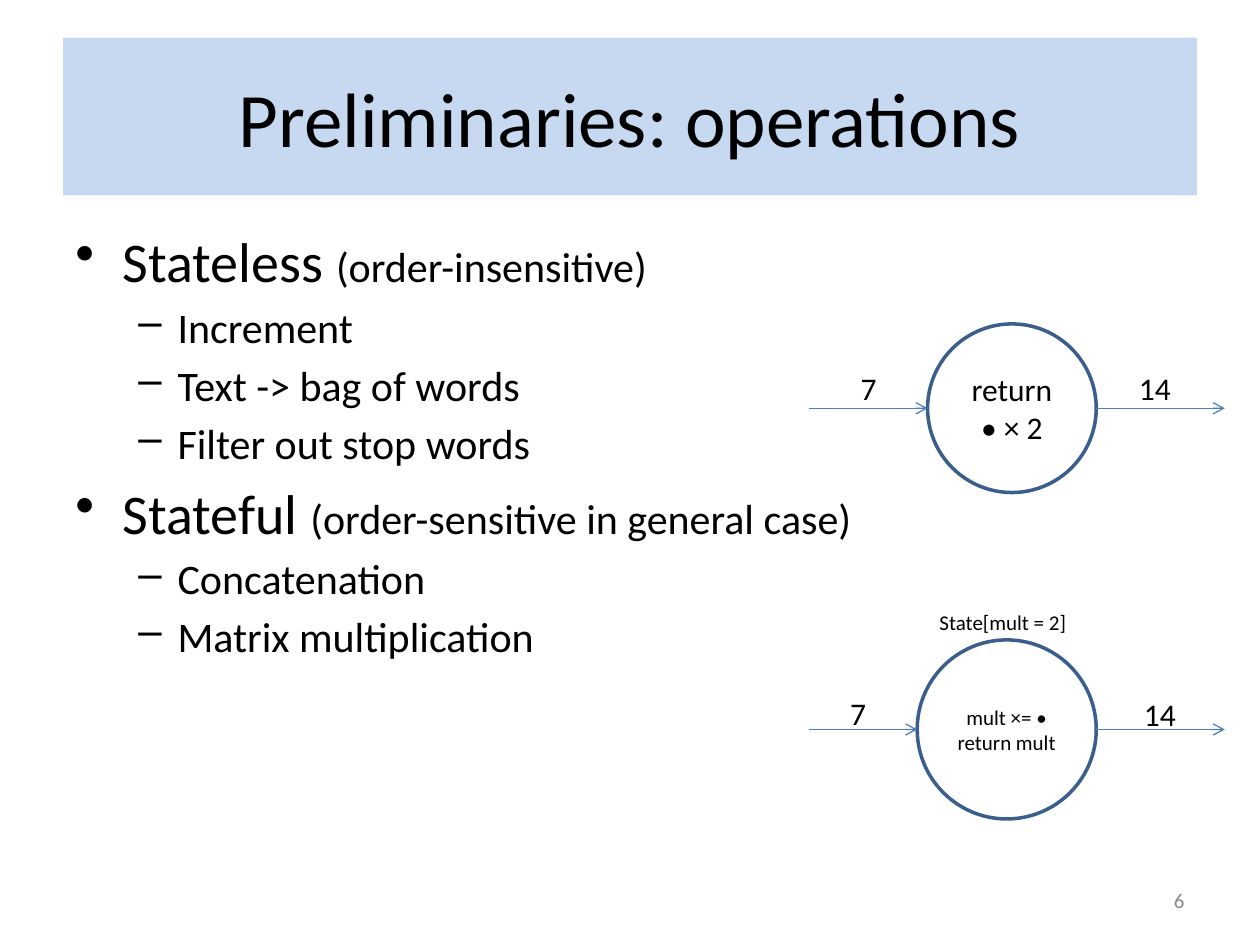
from lxml import etree
from pptx import Presentation
from pptx.dml.color import RGBColor
from pptx.enum.shapes import MSO_CONNECTOR, MSO_SHAPE
from pptx.enum.text import MSO_ANCHOR, PP_ALIGN
from pptx.oxml import parse_xml
from pptx.oxml.ns import nsdecls, qn
from pptx.util import Cm, Pt

OUTLINE = [
    ("Stateless ", "(order-insensitive)",
     ["Increment", "Text -> bag of words", "Filter out stop words"]),
    ("Stateful ", "(order-sensitive in general case)",
     ["Concatenation", "Matrix multiplication"]),
]


def color(hex_code):
    return RGBColor.from_string(hex_code)


def style(paragraph, size, hex_code="000000", align=PP_ALIGN.LEFT):
    paragraph.alignment = align
    font = paragraph.font
    font.name, font.size = "Calibri", Pt(size)
    font.color.rgb = color(hex_code)


def add_text_frame(slide, left, top, width, height):
    frame = slide.shapes.add_textbox(Cm(left), Cm(top), Cm(width), Cm(height)).text_frame
    frame.word_wrap = True
    return frame


def add_label(slide, left, top, width, height, text, size):
    paragraph = add_text_frame(slide, left, top, width, height).paragraphs[0]
    paragraph.text = text
    style(paragraph, size)


def add_title(slide, left, top, width, height):
    title = slide.shapes.title
    title.left, title.top, title.width, title.height = map(Cm, (left, top, width, height))
    title.fill.solid()
    title.fill.fore_color.rgb = color("C6D9F1")
    title.text_frame.text = "Preliminaries: operations"
    title.text_frame.vertical_anchor = MSO_ANCHOR.MIDDLE
    style(title.text_frame.paragraphs[0], 44, align=PP_ALIGN.CENTER)


def set_bullet(paragraph, level, mark, margin, hanging):
    paragraph.level = level
    props = paragraph._p.get_or_add_pPr()
    props.set("marL", str(Cm(margin)))
    props.set("indent", str(-Cm(hanging)))
    bullet = parse_xml(f'<a:buChar {nsdecls("a")} char="{mark}"/>')
    props.find(qn("a:defRPr")).addprevious(bullet)


def add_outline(slide, left, top, width, height):
    frame = add_text_frame(slide, left, top, width, height)
    paragraph = frame.paragraphs[0]
    for index, (heading, remark, examples) in enumerate(OUTLINE):
        if index:
            paragraph = frame.add_paragraph()
        style(paragraph, 32)
        paragraph.space_before = Pt(5.8)
        set_bullet(paragraph, 0, "•", 0.95, 0.95)
        for text, size in ((heading, 32), (remark, 24)):
            run = paragraph.add_run()
            run.text, run.font.size = text, Pt(size)
        for example in examples:
            item = frame.add_paragraph()
            item.text = example
            style(item, 24)
            item.space_before = Pt(4.3)
            set_bullet(item, 1, "–", 2.06, 0.79)


def add_arrow(slide, start, end, y):
    arrow = slide.shapes.add_connector(
        MSO_CONNECTOR.STRAIGHT, Cm(start), Cm(y), Cm(end), Cm(y))
    arrow.line.color.rgb = color("4B7EBC")
    arrow.line.width = Pt(0.75)
    etree.SubElement(arrow.line._get_or_add_ln(), qn("a:tailEnd"), type="arrow")
    etree.SubElement(arrow._element.spPr, qn("a:effectLst"))


def add_operator(slide, left, top, width, diameter, text, size, input_at, output_at):
    circle_right = left + width - 2.59
    circle_left = circle_right - diameter
    middle = top + diameter / 2
    circle = slide.shapes.add_shape(
        MSO_SHAPE.OVAL, Cm(circle_left), Cm(top), Cm(diameter), Cm(diameter))
    circle.shadow.inherit = False
    circle.fill.solid()
    circle.fill.fore_color.rgb = color("FFFFFF")
    circle.line.color.rgb = color("3A5F8C")
    circle.line.width = Pt(2)
    frame = circle.text_frame
    frame.word_wrap = True
    frame.vertical_anchor = MSO_ANCHOR.MIDDLE
    frame.text = text
    for paragraph in frame.paragraphs:
        style(paragraph, size, align=PP_ALIGN.CENTER)
    add_arrow(slide, left, circle_left, middle)
    add_arrow(slide, circle_right, left + width, middle)
    for value, (x, y) in (("7", input_at), ("14", output_at)):
        add_label(slide, left + x, middle + y, 1.2, 1.02, value, 18)


def add_slide_number(slide, left, top, width, height):
    frame = add_text_frame(slide, left, top, width, height)
    frame.vertical_anchor = MSO_ANCHOR.MIDDLE
    paragraph = frame.paragraphs[0]
    paragraph.text = "6"
    style(paragraph, 12, "8C8C8C", PP_ALIGN.RIGHT)


def main():
    deck = Presentation()
    deck.slide_width, deck.slide_height = Cm(25.4), Cm(19.05)
    slide = deck.slides.add_slide(deck.slide_layouts[5])
    add_title(slide, 1.27, 0.76, 22.86, 3.18)
    add_outline(slide, 1.27, 4.45, 22.86, 12.57)
    add_slide_number(slide, 22.1, 17.63, 2.03, 1.02)
    add_operator(slide, 16.31, 6.53, 8.38, 3.4, "return\v• × 2", 18,
                 (0.79, -0.91), (6.4, -0.91))
    add_operator(slide, 16.31, 12.9, 8.38, 3.61, "mult ×= •\nreturn mult", 12,
                 (0.58, -0.84), (6.5, -0.81))
    add_label(slide, 18.69, 12.17, 3.4, 0.76, "State[mult = 2]", 12)
    deck.save("out.pptx")


if __name__ == "__main__":
    main()
